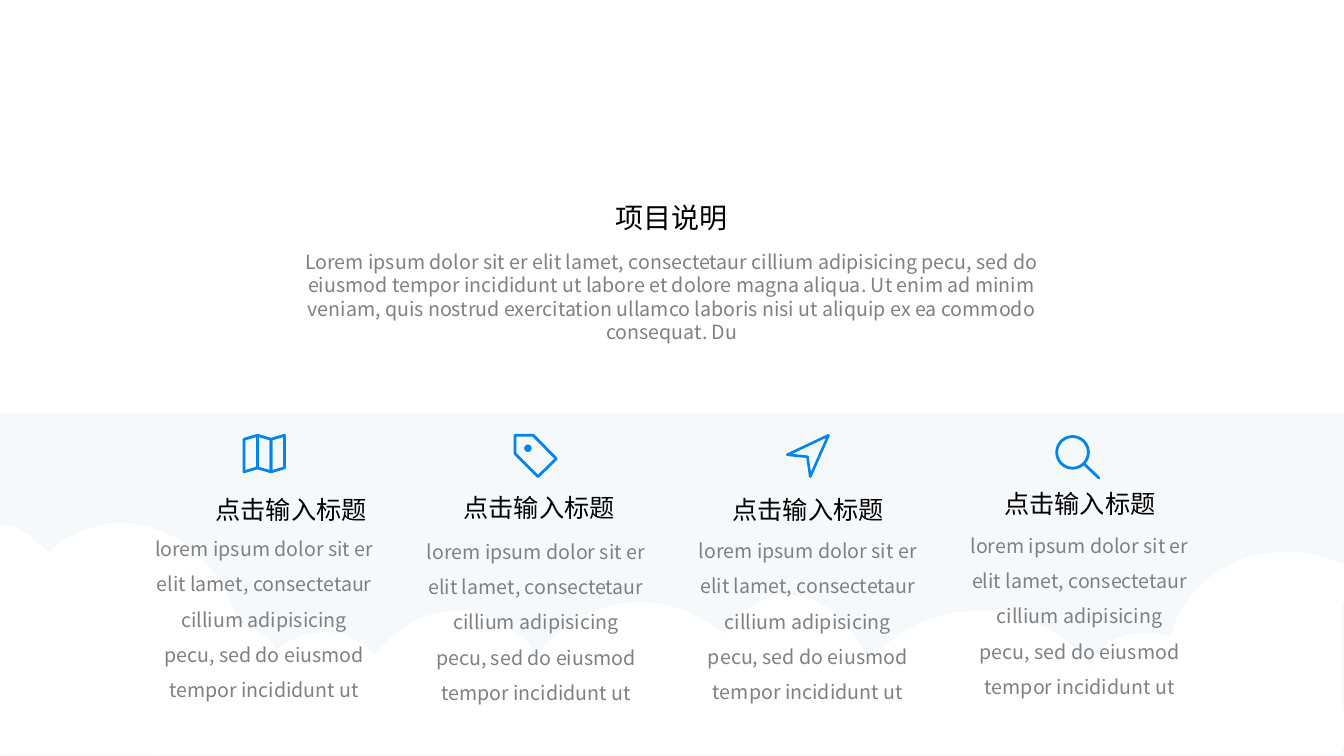
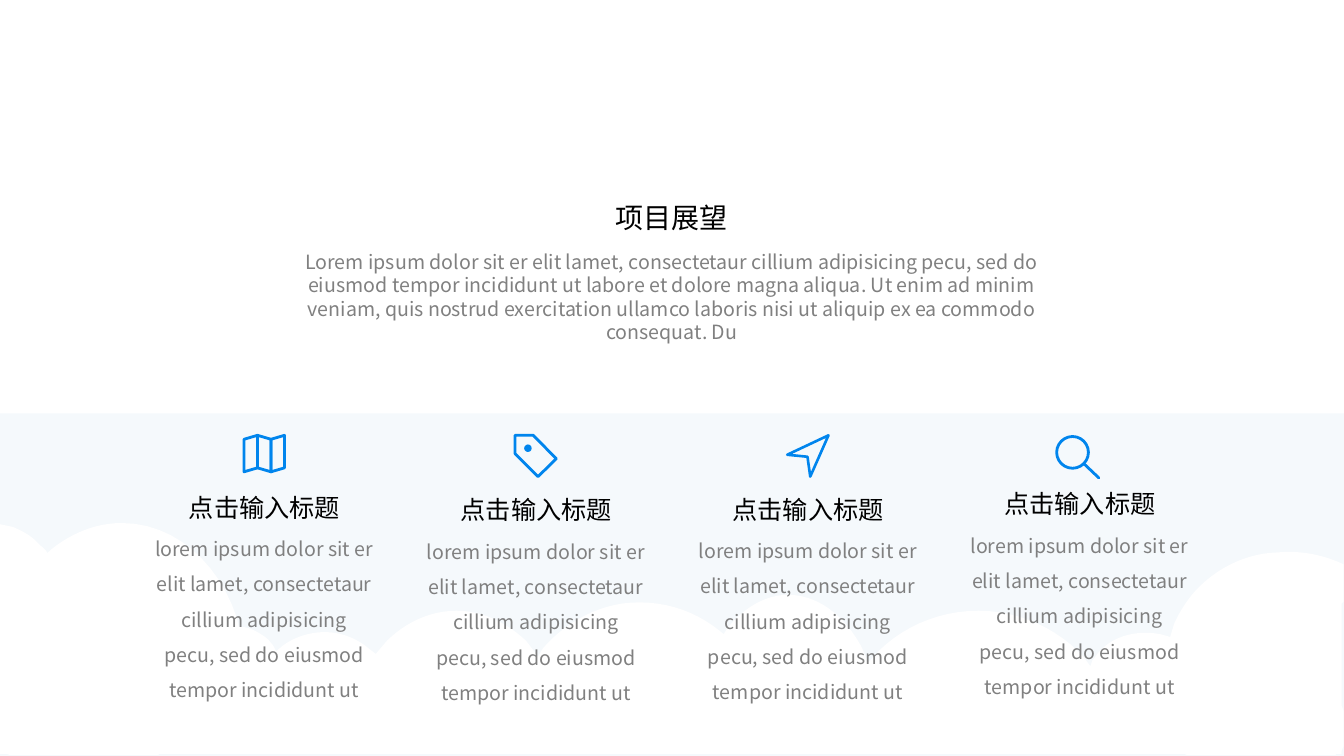
from lxml import etree
from pptx import Presentation
from pptx.dml.color import RGBColor
from pptx.enum.shapes import MSO_CONNECTOR, MSO_SHAPE
from pptx.enum.text import MSO_ANCHOR, MSO_AUTO_SIZE, PP_ALIGN
from pptx.oxml.ns import qn
from pptx.util import Cm, Pt

RECT, OVAL = MSO_SHAPE.RECTANGLE, MSO_SHAPE.OVAL
STRAIGHT = MSO_CONNECTOR.STRAIGHT
LEFT, CENTER = PP_ALIGN.LEFT, PP_ALIGN.CENTER
TOP, GROW = MSO_ANCHOR.TOP, MSO_AUTO_SIZE.SHAPE_TO_FIT_TEXT

# Style
WIDTH, HEIGHT = 33.87, 19.05
BLUE, PALE, WHITE, GREY, BLACK = "0085ED", "F5F9FC", "FFFFFF", "808080", "000000"
CJK = "Noto Sans CJK SC"
TITLE = {"size": Pt(20), "name": "Arial", "color": BLACK}
HEADING = {"size": Pt(18), "name": "Arial", "color": BLACK}
BODY = {"size": Pt(14), "name": CJK, "color": GREY}

# Four columns at an equal pitch
COLUMN_LEFT, COLUMN_PITCH = 3.65, 6.85
BODY_TOPS = [13.11, 13.18, 13.16, 13.03]

INTRO = ("Lorem ipsum dolor sit er elit lamet, consectetaur cillium adipisicing pecu, "
         "sed do eiusmod tempor incididunt ut labore et dolore magna aliqua. Ut enim ad "
         "minim veniam, quis nostrud exercitation ullamco laboris nisi ut aliquip ex ea "
         "commodo consequat. Du")
COLUMN_HEADING = "点击输入标题"
COLUMN_TEXT = ("lorem ipsum dolor sit er elit lamet, consectetaur cillium adipisicing "
               "pecu, sed do eiusmod tempor incididunt ut")

# Cloud outline: two numbers are a line end, six are a cubic curve
CLOUD = [
    (3.07, 13.18),
    (4.39, 13.18, 5.51, 14.17, 5.97, 15.57), (6.02, 15.8), (6.12, 15.8),
    (6.32, 15.82, 6.5, 15.93, 6.65, 16.03), (6.76, 16.1, 6.81, 16.18, 6.88, 16.26),
    (6.96, 16.41), (7.14, 16.26),
    (7.44, 16.05, 7.8, 15.93, 8.18, 15.93), (8.56, 15.93, 8.89, 16.05, 9.19, 16.26),
    (9.47, 16.48), (9.75, 16.15),
    (10.21, 15.7, 10.82, 15.39, 11.51, 15.39), (12.17, 15.39, 12.78, 15.7, 13.26, 16.15),
    (13.56, 16.54), (13.69, 16.33),
    (14.2, 15.75, 14.88, 15.34, 15.67, 15.21), (16.59, 15.09, 17.45, 15.34, 18.14, 15.9),
    (18.24, 15.98), (18.34, 15.82),
    (18.75, 15.32, 19.28, 14.99, 19.86, 14.99), (20.6, 14.99, 21.26, 15.49, 21.69, 16.26),
    (21.89, 16.69), (22, 16.56),
    (22.63, 15.85, 23.6, 15.39, 24.66, 15.39), (25.7, 15.39, 26.67, 15.85, 27.31, 16.56),
    (27.48, 16.79), (27.53, 16.64),
    (27.61, 16.56, 27.66, 16.46, 27.74, 16.38), (28.12, 16, 28.68, 15.88, 29.24, 15.98),
    (29.49, 16.05), (29.59, 15.72),
    (29.74, 15.39, 29.95, 15.06, 30.23, 14.78), (30.78, 14.25, 31.47, 13.94, 32.21, 13.92),
    (32.77, 13.87, 33.32, 13.97, 33.86, 14.22),
    (33.86, 15.16), (33.81, 15.21), (33.81, 17.78), (33.86, 17.91), (33.86, 18.8),
    (33.81, 18.92), (33.81, 19), (33.68, 19), (33.66, 19.02), (29.9, 19.02), (29.85, 19),
    (4.01, 19), (3.99, 19.02), (0.23, 19.02), (0.18, 19), (0, 19), (0, 13.21), (0.33, 13.28),
    (0.58, 13.39, 0.81, 13.51, 0.99, 13.72), (1.04, 13.77, 1.12, 13.82, 1.17, 13.89),
    (1.19, 13.94), (1.3, 13.84),
    (1.8, 13.44, 2.41, 13.18, 3.07, 13.18),
]


def rgb(value):
    return RGBColor.from_string(value)


def flatten(outline, steps=12):
    """Turn lines and cubic curves into a list of points."""
    points = [outline[0]]
    for segment in outline[1:]:
        if len(segment) == 2:
            points.append(segment)
            continue
        curve = [points[-1], segment[:2], segment[2:4], segment[4:]]
        for i in range(1, steps + 1):
            t = i / steps
            weights = [(1 - t) ** 3, 3 * t * (1 - t) ** 2, 3 * t * t * (1 - t), t ** 3]
            points.append(tuple(sum(w * c[axis] for w, c in zip(weights, curve))
                                for axis in (0, 1)))
    return points


class Deck:
    def __init__(self):
        self.prs = Presentation()
        self.prs.slide_width, self.prs.slide_height = Cm(WIDTH), Cm(HEIGHT)
        self.slide = None

    def new_slide(self):
        self.slide = self.prs.slides.add_slide(self.prs.slide_layouts[5])
        self.slide.background.fill.solid()
        self.slide.background.fill.fore_color.rgb = rgb(WHITE)

    def fill_text(self, sp, content, style, align=CENTER, spacing=1.0):
        tf = sp.text_frame
        for key, value in {"word_wrap": True, "auto_size": GROW,
                           "vertical_anchor": TOP}.items():
            setattr(tf, key, value)
        p = tf.paragraphs[0]
        p.alignment, p.line_spacing = align, spacing
        r = p.add_run()
        r.text = content
        for key in ("size", "name"):
            setattr(r.font, key, style[key])
        r.font.color.rgb = rgb(style["color"])
        etree.SubElement(r.font._element, qn("a:ea")).set("typeface", CJK)

    def title(self, content, x, y, w, h):
        sp = self.slide.shapes.title
        sp.left, sp.top, sp.width, sp.height = Cm(x), Cm(y), Cm(w), Cm(h)
        self.fill_text(sp, content, TITLE)

    def text(self, content, x, y, w, h, style, **paragraph):
        sp = self.slide.shapes.add_textbox(Cm(x), Cm(y), Cm(w), Cm(h))
        self.fill_text(sp, content, style, **paragraph)

    def stroke(self, line, width):
        line.color.rgb = rgb(BLUE)
        line.width = Pt(width)
        ln = line._get_or_add_ln()
        ln.set("cap", "rnd")
        etree.SubElement(ln, qn("a:round"))

    def paint(self, sp, fill=None, width=2):
        sp.shadow.inherit = False
        if fill:
            sp.fill.solid()
            sp.fill.fore_color.rgb = rgb(fill)
            sp.line.fill.background()
        else:
            sp.fill.background()
            self.stroke(sp.line, width)

    def shape(self, kind, x, y, w, h, fill=None):
        self.paint(self.slide.shapes.add_shape(kind, Cm(x), Cm(y), Cm(w), Cm(h)), fill)

    def outline(self, points, fill=None, width=2):
        start, *rest = [(Cm(x), Cm(y)) for x, y in points]
        builder = self.slide.shapes.build_freeform(*start)
        builder.add_line_segments(rest, close=True)
        self.paint(builder.convert_to_shape(), fill, width)

    def line(self, x1, y1, x2, y2):
        sp = self.slide.shapes.add_connector(STRAIGHT, Cm(x1), Cm(y1), Cm(x2), Cm(y2))
        self.stroke(sp.line, 2)
        etree.SubElement(sp._element.spPr, qn("a:effectLst"))

    def icons(self):
        # Folded map
        for i in range(3):
            left, right = 6.15 + 0.34 * i, 6.49 + 0.34 * i
            y1, y2 = (10.97, 11.07) if i == 1 else (11.07, 10.97)
            self.outline([(left, y1), (right, y2), (right, y2 + 0.82), (left, y1 + 0.82)])
        # Tag
        self.outline([(14.02, 11.56), (13.56, 12.01), (12.98, 11.43),
                      (12.98, 10.97), (13.44, 10.97)])
        self.shape(OVAL, 13.21, 11.2, 0.19, 0.19, BLUE)
        # Paper plane
        self.outline([(20.42, 12.01), (20.88, 10.97), (19.84, 11.46), (20.35, 11.51)],
                     width=1.88)
        # Magnifier
        self.shape(OVAL, 26.63, 11, 0.8, 0.8)
        self.line(27.31, 11.68, 27.69, 12.04)

    def columns(self, headings):
        for i, (top, (shift, heading_top, align)) in enumerate(zip(BODY_TOPS, headings)):
            x = COLUMN_LEFT + COLUMN_PITCH * i
            self.text(COLUMN_HEADING, x - 0.11 + shift, heading_top, 6.25, 1.03,
                      HEADING, align=align)
            self.text(COLUMN_TEXT, x, top, 6.02, 4.65, BODY, spacing=1.5)

    def project_slide(self, title, headings):
        self.new_slide()
        self.title(title, 13.55, 4.93, 6.77, 1.11)
        self.text(INTRO, 6.77, 6.17, 20.32, 2.06, BODY)
        self.shape(RECT, 0, 10.42, WIDTH, 8.63, PALE)
        self.outline(flatten(CLOUD), WHITE)
        self.icons()
        self.columns(headings)


# Slides: each heading has a shift from its column, a top and an alignment
LAST_HEADINGS = [(0, 12.32, CENTER), (0, 12.19, CENTER)]
SLIDES = [
    ("项目说明", [(1.64, 12.32, LEFT), (1.04, 12.27, LEFT)] + LAST_HEADINGS),
    ("项目展望", [(0, 12.27, CENTER), (0, 12.34, CENTER)] + LAST_HEADINGS),
]

deck = Deck()
for title, headings in SLIDES:
    deck.project_slide(title, headings)
deck.prs.save("out.pptx")
